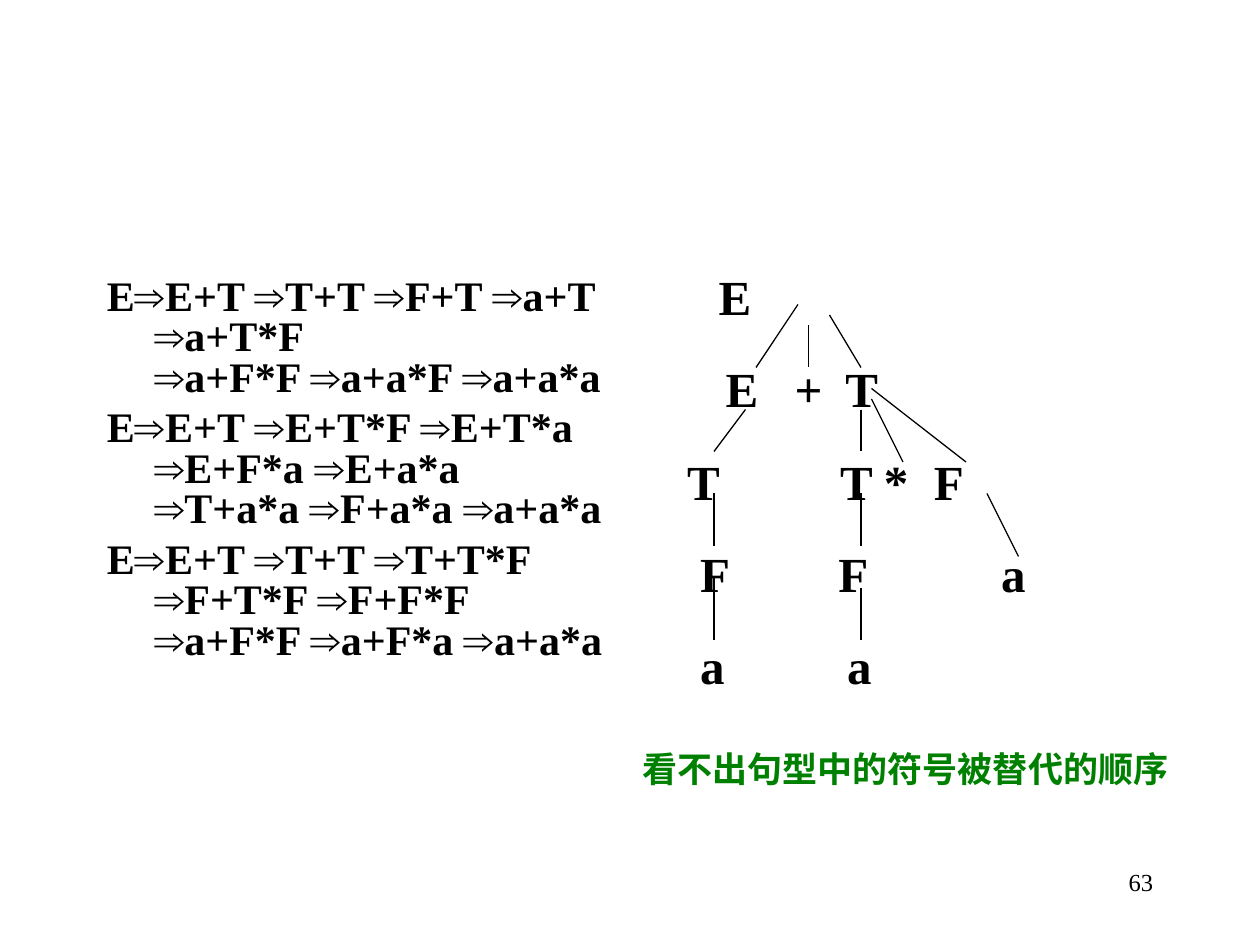
from typing import NamedTuple

from lxml.etree import SubElement as Sub
from pptx import Presentation
from pptx.dml.color import RGBColor
from pptx.enum.shapes import MSO_CONNECTOR as Conn
from pptx.enum.text import PP_ALIGN as Align
from pptx.oxml.ns import qn
from pptx.util import Pt

BLACK = RGBColor(0, 0, 0)
GREEN = RGBColor(0, 128, 0)
SERIF, SANS, HAN = "Times New Roman", "Arial", "Noto Sans CJK SC"
ARROW = "⇒"


class Box(NamedTuple):
    left: float
    top: float
    width: float
    height: float


class Style(NamedTuple):
    size: float
    color: RGBColor = BLACK
    bold: bool = True
    face: str = SERIF


class Edge(NamedTuple):
    x1: float
    y1: float
    x2: float
    y2: float


class Level(NamedTuple):
    names: str
    stops: tuple


PROOFS = (
    "E⇒E+T ⇒T+T ⇒F+T ⇒a+T ⇒a+T*F\n⇒a+F*F ⇒a+a*F ⇒a+a*a",
    "E⇒E+T ⇒E+T*F ⇒E+T*a ⇒E+F*a ⇒E+a*a\n⇒T+a*a ⇒F+a*a ⇒a+a*a",
    "E⇒E+T ⇒T+T ⇒T+T*F ⇒F+T*F ⇒F+F*F\n⇒a+F*F ⇒a+F*a ⇒a+a*a",
)
LEVELS = (
    Level("E", (37.5,)),
    Level("E+T", (41.5, 81, 110)),
    Level("TT*F", (19.5, 107, 132, 160.5)),
    Level("FFa", (27, 106, 199)),
    Level("aa", (27, 111)),
)
EDGES = (
    Edge(456, 174, 432, 210),
    Edge(474, 180, 492, 210),
    Edge(462, 186, 462, 210),
    Edge(426, 234, 408, 258),
    Edge(492, 234, 492, 258),
    Edge(498, 228, 516, 264),
    Edge(498, 222, 552, 264),
    Edge(408, 282, 408, 312),
    Edge(492, 282, 492, 312),
    Edge(564, 282, 582, 318),
    Edge(408, 330, 408, 366),
    Edge(492, 336, 492, 366),
)


def add_frame(slide, box: Box):
    """Return the wrapped text frame of a new box."""
    frame = slide.shapes.add_textbox(*map(Pt, box)).text_frame
    frame.word_wrap = True
    return frame


def next_para(frame, index: int, gap: float):
    """Return paragraph number index, spaced from the one above."""
    if index == 0:
        return frame.paragraphs[0]
    para = frame.add_paragraph()
    para.space_before = Pt(gap)
    return para


def add_run(para, text: str, style: Style) -> None:
    """Add styled text to a paragraph."""
    run = para.add_run()
    run.text = text
    form = {"size": Pt(style.size), "bold": style.bold, "name": style.face}
    for key, value in form.items():
        setattr(run.font, key, value)
    run.font.color.rgb = style.color
    Sub(run._r.get_or_add_rPr(), qn("a:ea"), typeface=style.face)


def add_proof(para, text: str, style: Style) -> None:
    """Write a derivation with its arrows in the sans face."""
    props = para._p.get_or_add_pPr()
    for key, value in {"marL": Pt(27), "indent": Pt(-27)}.items():
        props.set(key, str(value))
    para.line_spacing = 0.8
    for row, line in enumerate(text.split("\n")):
        if row:
            para.add_line_break()
        for step, part in enumerate(line.split(ARROW)):
            if step:
                add_run(para, ARROW, style._replace(face=SANS))
            if part:
                add_run(para, part, style)


def add_level(para, level: Level, style: Style) -> None:
    """Write one tree level with each symbol at its tab stop."""
    tabs = Sub(para._p.get_or_add_pPr(), qn("a:tabLst"))
    for stop in level.stops:
        Sub(tabs, qn("a:tab"), pos=str(Pt(stop)), algn="l")
    add_run(para, "".join(f"\t{name}" for name in level.names), style)


def add_edge(slide, edge: Edge) -> None:
    """Draw one branch of the tree."""
    line = slide.shapes.add_connector(Conn.STRAIGHT, *map(Pt, edge))
    line.line.color.rgb = BLACK
    line.line.width = Pt(0.75)
    Sub(line._element.spPr, qn("a:effectLst"))


def main() -> None:
    """Build and save the slide."""
    deck = Presentation()
    deck.slide_width, deck.slide_height = Pt(720), Pt(540)
    slide = deck.slides.add_slide(deck.slide_layouts[6])

    page = add_frame(slide, Box(516, 492, 150, 36)).paragraphs[0]
    page.alignment = Align.RIGHT
    add_run(page, "63", Style(14, bold=False))

    frame = add_frame(slide, Box(54, 156, 300, 324))
    for index, proof in enumerate(PROOFS):
        add_proof(next_para(frame, index, 6), proof, Style(24))

    frame = add_frame(slide, Box(366, 149, 300, 324))
    for index, level in enumerate(LEVELS):
        add_level(next_para(frame, index, 19), level, Style(28))

    for edge in EDGES:
        add_edge(slide, edge)

    note = add_frame(slide, Box(360, 423.5, 317, 31.5)).paragraphs[0]
    add_run(note, "看不出句型中的符号被替代的顺序", Style(20, GREEN, face=HAN))
    deck.save("out.pptx")


if __name__ == "__main__":
    main()
